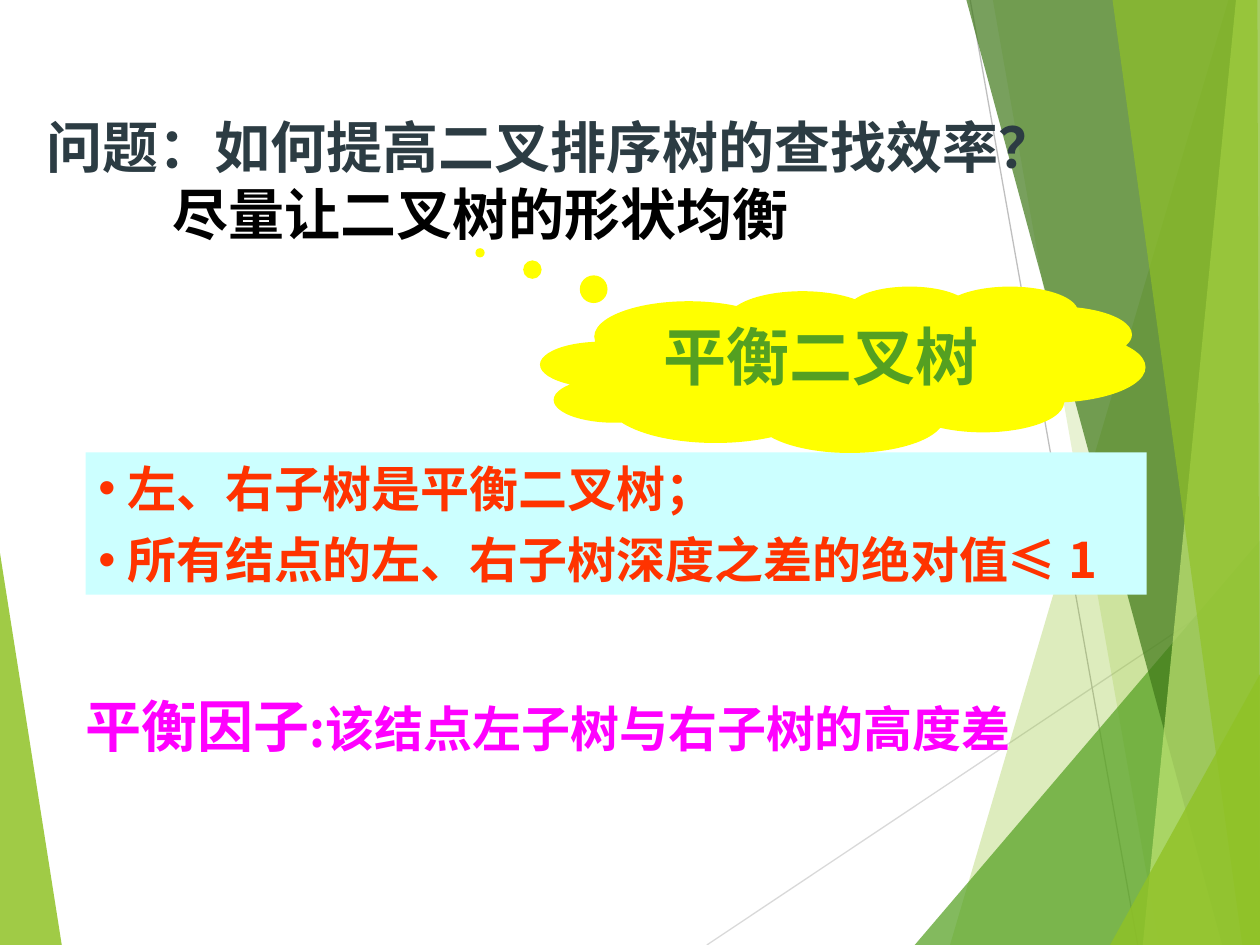
from lxml import etree
from pptx import Presentation
from pptx.dml.color import RGBColor
from pptx.enum.shapes import MSO_CONNECTOR, MSO_SHAPE
from pptx.enum.text import MSO_ANCHOR, MSO_AUTO_SIZE, PP_ALIGN
from pptx.oxml.ns import qn
from pptx.util import Inches, Pt

SANS = "Noto Sans CJK SC"


def rgb(hex_color):
    return RGBColor.from_string(hex_color)


def style(paragraph, size, color, latin=SANS, align=PP_ALIGN.LEFT):
    paragraph.alignment = align
    for run in paragraph.runs:
        run.font.size = Pt(size)
        run.font.bold = True
        run.font.color.rgb = rgb(color)
        run.font.name = latin
        etree.SubElement(run.font._element, qn("a:ea"), typeface=SANS)


prs = Presentation()
prs.slide_width, prs.slide_height = Inches(10), Inches(7.5)
slide = prs.slides.add_slide(prs.slide_layouts[1])
shapes = slide.shapes
question, conditions = slide.placeholders

facets = [
    ("90C226", 85, [(0, 4.39), (0.49, 7.5), (0, 7.5)]),
    ("90C226", 30, [(9.75, 0), (7.54, 7.5), (10, 7.5), (10, 0)]),
    ("90C226", 20, [(7.88, 0), (9.2, 7.5), (10, 7.5), (10, 0)]),
    ("54A021", 72, [(7.26, 7.5), (10, 4.29), (10, 7.5)]),
    ("3F7819", 70, [(7.67, 0), (9.7, 7.5), (10, 7.5), (10, 0)]),
    ("C0E474", 70, [(9.81, 0), (9.07, 7.5), (10, 7.5), (10, 0)]),
    ("90C226", 65, [(8.83, 0), (9.86, 7.5), (10, 7.5), (9.98, 0)]),
    ("90C226", 80, [(8.81, 7.5), (10, 5.35), (10, 7.5)]),
]
rays = [("D9D9D9", 5.61, 7.5, 10, 4.57), ("BFBFBF", 7.7, 0, 9.03, 7.5)]

for color, *ends in rays:
    ray = shapes.add_connector(MSO_CONNECTOR.STRAIGHT, *map(Inches, ends))
    ray.line.color.rgb = rgb(color)
    ray.line.width = Pt(0.75)
    etree.SubElement(ray._element.spPr, qn("a:effectLst"))

for color, opacity, points in facets:
    corners = [(Inches(x), Inches(y)) for x, y in points]
    outline = shapes.build_freeform(*corners[0])
    outline.add_line_segments(corners[1:], close=True)
    facet = outline.convert_to_shape()
    facet.shadow.inherit = False
    facet.line.fill.background()
    facet.fill.solid()
    facet.fill.fore_color.rgb = rgb(color)
    tint = facet._element.spPr.find(qn("a:solidFill"))[0]
    etree.SubElement(tint, qn("a:alpha"), val=str(opacity * 1000))

for placeholder, box in [
    (question, (0.27, 0.84, 8.82, 1.17)),
    (conditions, (0.68, 3.59, 8.42, 1.13)),
]:
    shapes._spTree.append(placeholder._element)
    placeholder.left, placeholder.top, placeholder.width, placeholder.height = map(Inches, box)
    placeholder.text_frame.auto_size = MSO_AUTO_SIZE.NONE
    placeholder.text_frame.vertical_anchor = MSO_ANCHOR.TOP

question.text_frame.text = "问题：如何提高二叉排序树的查找效率？\n尽量让二叉树的形状均衡"
for line, color in zip(question.text_frame.paragraphs, ("2C3C43", "000000")):
    style(line, 32, color)
question.text_frame.paragraphs[1]._p.get_or_add_pPr().set("marL", str(Inches(1)))

conditions.fill.solid()
conditions.fill.fore_color.rgb = rgb("CCFFFF")
conditions.text_frame.text = "左、右子树是平衡二叉树；\n所有结点的左、右子树深度之差的绝对值≤ 1"
for condition, gap in zip(conditions.text_frame.paragraphs, (0, 7)):
    pPr = condition._p.get_or_add_pPr()
    pPr.set("marL", str(Inches(0.23)))
    pPr.set("indent", str(-Inches(0.23)))
    bullet_color = etree.SubElement(pPr, qn("a:buClr"))
    etree.SubElement(bullet_color, qn("a:srgbClr"), val="FF3300")
    etree.SubElement(pPr, qn("a:buChar"), char="•")
    condition.space_before = Pt(gap)
    style(condition, 28, "FF3300")

cloud = shapes.add_shape(
    MSO_SHAPE.CLOUD_CALLOUT, Inches(4.29), Inches(2.27), Inches(4.8), Inches(1.32)
)
cloud.adjustments[0], cloud.adjustments[1] = -0.6, -0.7
cloud.shadow.inherit = False
cloud.fill.solid()
cloud.fill.fore_color.rgb = rgb("FFFF00")
cloud.line.fill.background()
cloud.text_frame.vertical_anchor = MSO_ANCHOR.TOP
cloud.text_frame.text = "平衡二叉树"
style(cloud.text_frame.paragraphs[0], 36, "54A021", "Times New Roman", PP_ALIGN.CENTER)

factor = shapes.add_textbox(Inches(0.58), Inches(5.44), Inches(7.85), Inches(0.64))
factor.text_frame.word_wrap = True
definition = factor.text_frame.paragraphs[0]
for part in ("平衡因子", ":该结点左子树与右子树的高度差"):
    definition.add_run().text = part
style(definition, 28, "FF00FF")
definition.runs[0].font.size = Pt(32)

prs.save("out.pptx")
